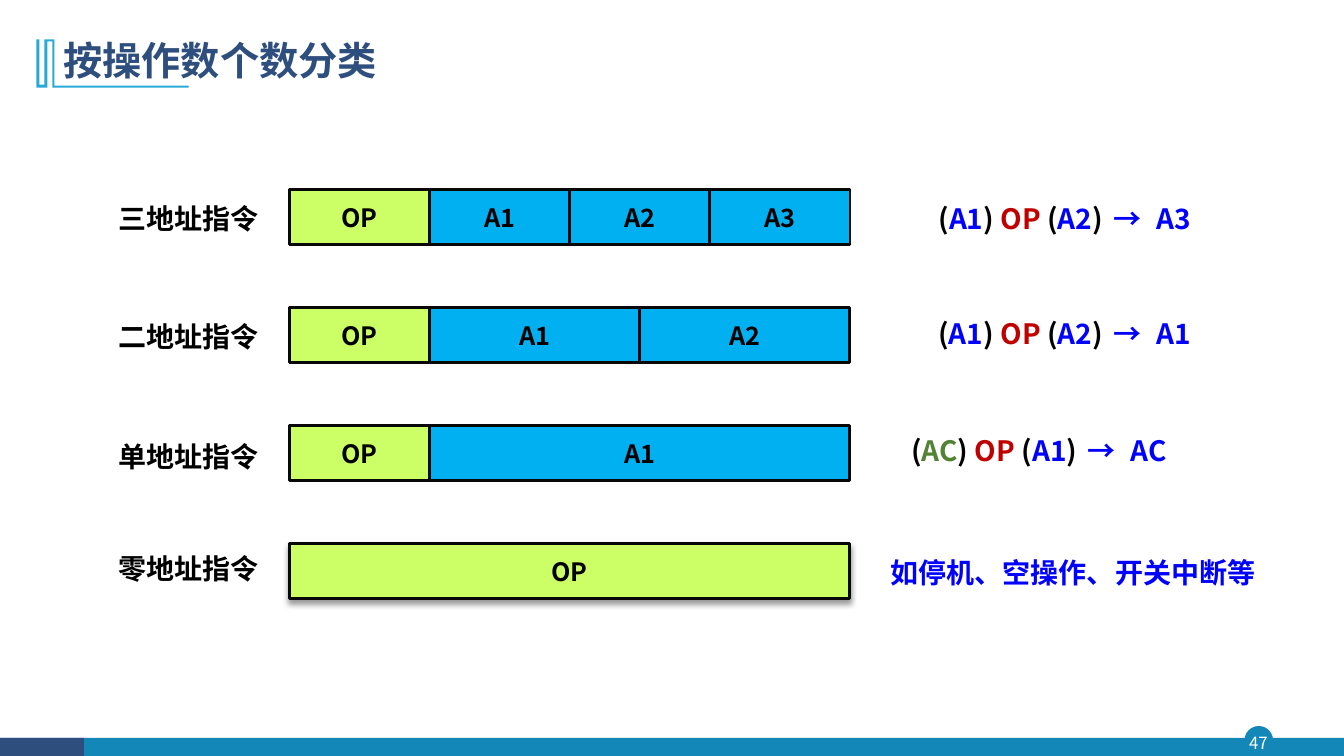
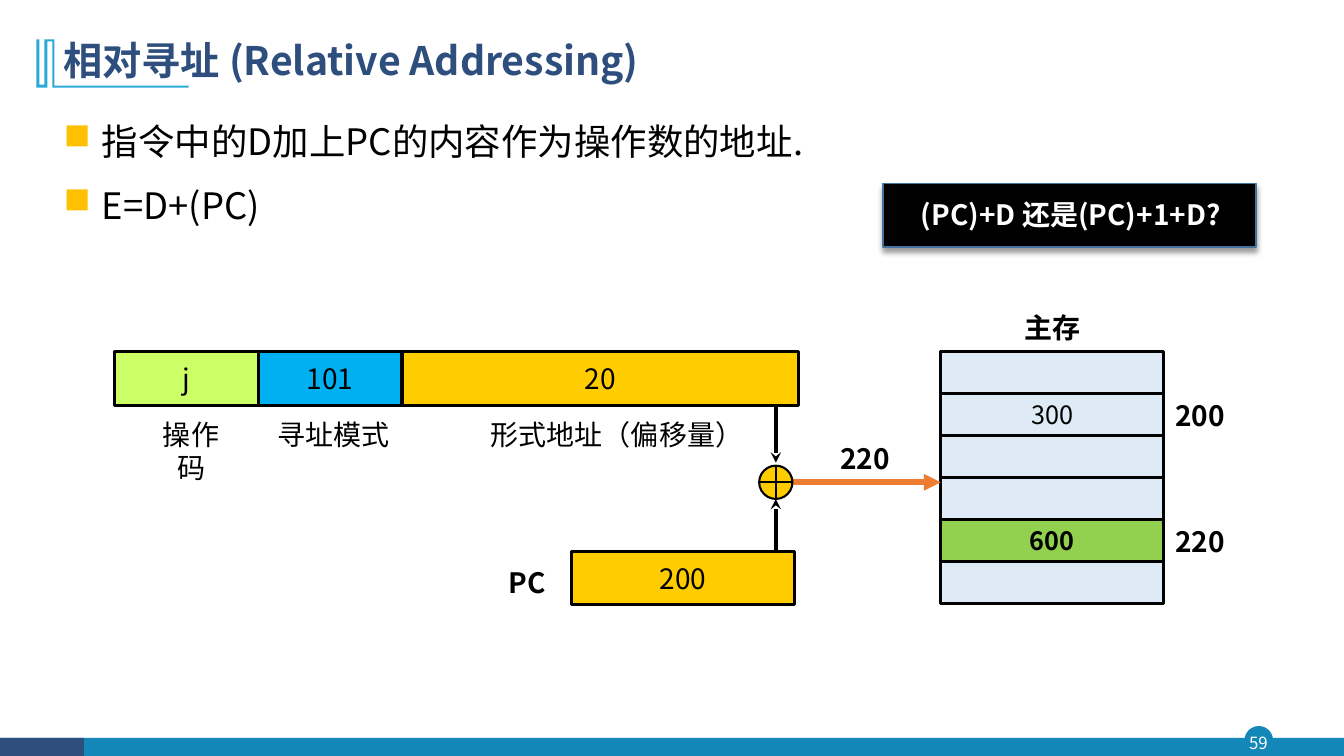
from collections import namedtuple

from lxml import etree
from pptx import Presentation
from pptx import util as u
from pptx.dml.color import RGBColor
from pptx.enum import shapes, text
from pptx.oxml.ns import qn

FONT, TITLE_FONT = "Noto Sans CJK SC", "Noto Sans CJK JP"
NAVY, TEAL, SKY = "2E4E7E", "1387B7", "28A9D6"
LIME, CYAN, GOLD, AMBER = "CCFF66", "00B0F0", "FFCC00", "FFC000"
BLUE, RED, GREEN, ORANGE = "0000FF", "C00000", "548235", "ED7D31"
PALE, LEAF, STEEL = "DEEBF7", "92D050", "43739E"
BLACK, WHITE, INK = "000000", "FFFFFF", "080808"
LEFT, CENTER, RIGHT = text.PP_ALIGN.LEFT, text.PP_ALIGN.CENTER, text.PP_ALIGN.RIGHT
PRESET = shapes.MSO_SHAPE
LABEL_HEIGHT = 0.44

Box = namedtuple("Box", "left top width height")
Field = namedtuple("Field", "words fill share")


def inches(box):
    return [u.Inches(value) for value in box]


def rgb(hex_code):
    return RGBColor.from_string(hex_code)


def add_xml(parent, tag, **attributes):
    return etree.SubElement(parent, qn(tag), attributes)


def style_paragraph(para, size, color=BLACK, bold=False, align=LEFT, font=FONT):
    para.alignment = align
    para.font.size = u.Pt(size)
    para.font.bold = bold
    para.font.color.rgb = rgb(color)
    para.font.name = font
    defaults = para._p.pPr.find(qn("a:defRPr"))
    add_xml(defaults, "a:ea", typeface=font)


def add_spans(para, spans):
    """Write (words, colour) spans; arrows get wider letter spacing."""
    for words, color in spans:
        span = para.add_run()
        span.text = words
        span.font.color.rgb = rgb(color)
        if "→" in words:
            span._r.get_or_add_rPr().set("spc", "300")


def add_label(page, box, words, size=20, align=CENTER, **style):
    """Add a text box; words is a string or a list of coloured spans."""
    label = page.shapes.add_textbox(*inches(box))
    frame = label.text_frame
    frame.word_wrap = align != CENTER
    para = frame.paragraphs[0]
    if isinstance(words, str):
        para.text = words
    else:
        add_spans(para, words)
    style_paragraph(para, size, align=align, **style)
    return label


def add_block(page, box, fill, line=None, weight=1, words="", size=20,
              bold=False, preset=PRESET.RECTANGLE):
    block = page.shapes.add_shape(preset, *inches(box))
    block.shadow.inherit = False
    block.fill.solid()
    block.fill.fore_color.rgb = rgb(fill)
    if line:
        block.line.color.rgb = rgb(line)
        block.line.width = u.Pt(weight)
    else:
        block.line.fill.background()
    if words:
        block.text_frame.word_wrap = False
        block.text_frame.vertical_anchor = text.MSO_ANCHOR.MIDDLE
        para = block.text_frame.paragraphs[0]
        para.text = words
        style_paragraph(para, size, bold=bold, align=CENTER)
    return block


def drop_shadow(block):
    effects = block._element.spPr.find(qn("a:effectLst"))
    shadow = add_xml(effects, "a:outerShdw", blurRad=str(u.Pt(4)),
                     dist=str(u.Pt(3)), dir="5400000", rotWithShape="0")
    color = add_xml(shadow, "a:srgbClr", val=BLACK)
    add_xml(color, "a:alpha", val="40000")


def add_arrow(page, start, end, color, weight, head):
    arrow = page.shapes.add_connector(shapes.MSO_CONNECTOR.STRAIGHT,
                                      *inches(start + end))
    arrow.line.color.rgb = rgb(color)
    arrow.line.width = u.Pt(weight)
    add_xml(arrow.line._get_or_add_ln(), "a:tailEnd", type=head)
    add_xml(arrow._element.spPr, "a:effectLst")


# Frame shared by all slides: title, title mark, footer band and number
def add_mark(page):
    # Outline in hundredths of an inch
    points = [(54, 39), (54, 85), (187, 85), (187, 87), (52, 87), (52, 41),
              (47, 41), (47, 87), (36, 87), (36, 39), (39, 39), (39, 84),
              (44, 84), (44, 39)]
    builder = page.shapes.build_freeform(*points[0], scale=u.Inches(0.01))
    builder.add_line_segments(points[1:], close=True)
    mark = builder.convert_to_shape()
    mark.shadow.inherit = False
    mark.fill.solid()
    mark.fill.fore_color.rgb = rgb(SKY)
    mark.line.fill.background()


def add_footer(page, box, number):
    add_block(page, Box(12.35, box.top - 0.11, 0.27, 0.27), TEAL, TEAL,
              preset=PRESET.OVAL)
    add_block(page, box, TEAL)
    add_block(page, box._replace(width=box.width / 16), NAVY)
    label = add_label(page, Box(12.32, box.top - 0.11, 0.32, 0.31), number,
                      size=12, color=WHITE)
    frame = label.text_frame
    frame.margin_left = frame.margin_right = 0
    frame.margin_top = frame.margin_bottom = 0
    frame.vertical_anchor = text.MSO_ANCHOR.MIDDLE


def place(holder, box):
    holder.left, holder.top, holder.width, holder.height = inches(box)
    holder.text_frame.auto_size = text.MSO_AUTO_SIZE.NONE
    holder.text_frame.word_wrap = True


def new_page(deck, layout, title, number):
    page = deck.slides.add_slide(deck.slide_layouts[layout])
    add_footer(page, Box(0, 7.32, 13.33, 0.18), number)
    add_mark(page)
    heading = page.shapes.title
    place(heading, Box(0.53, 0.28, 11.5, 0.68))
    heading.text_frame.vertical_anchor = text.MSO_ANCHOR.MIDDLE
    para = heading.text_frame.paragraphs[0]
    for words, font in title:
        span = para.add_run()
        span.text = words
        span.font.name = font
    para.line_spacing = 0.9
    style_paragraph(para, 28, NAVY, bold=True, font=TITLE_FONT)
    return page


def add_bullets(holder, box, items):
    place(holder, box)
    frame = holder.text_frame
    for index, words in enumerate(items):
        para = frame.add_paragraph() if index else frame.paragraphs[0]
        para.text = words
        props = para._p.get_or_add_pPr()
        props.set("marL", str(u.Inches(0.38)))
        props.set("indent", str(u.Inches(-0.38)))
        add_xml(add_xml(props, "a:buClr"), "a:srgbClr", val=AMBER)
        add_xml(props, "a:buFont", typeface="Wingdings", charset="2")
        add_xml(props, "a:buChar", char="n")
        para.line_spacing = 1.16
        para.space_before = u.Pt(10 if index else 0)
        style_paragraph(para, 26, align=text.PP_ALIGN.JUSTIFY)


def add_fields(page, box, fields, **style):
    """Split the box into adjoining fields by their shares of its width."""
    left, blocks = box.left, []
    for field in fields:
        width = box.width * field.share
        cell = box._replace(left=left, width=width)
        blocks.append(add_block(page, cell, field.fill, words=field.words, **style))
        left += width
    return blocks


# Slide: instruction formats by number of operands
def transfer(first, second, target):
    """Spans for '(first) OP (second) → target'."""
    return [("(", BLACK), first, (") ", BLACK), ("OP", RED), (" (", BLACK),
            second, (")", BLACK), (" → ", BLUE), (target, BLUE)]


def add_format_row(page, box, name, name_top, operands):
    add_label(page, Box(1.08, name_top, 1.63, LABEL_HEIGHT), name,
              align=LEFT, bold=True)
    share = 0.75 / max(len(operands), 1)
    fields = [Field("OP", LIME, 0.25 if operands else 1)]
    fields += [Field(operand, CYAN, share) for operand in operands]
    return add_fields(page, box, fields, line=INK, weight=2, size=18, bold=True)


def build_formats(deck):
    page = new_page(deck, 5, [("按操作数个数分类", TITLE_FONT)], "47")
    a1, a2 = ("A1", BLUE), ("A2", BLUE)
    rows = [
        ("三地址指令", 1.95, ["A1", "A2", "A3"], transfer(a1, a2, "A3"),
         Box(8.92, 1.95, 2.99, LABEL_HEIGHT), RIGHT),
        ("二地址指令", 3.12, ["A1", "A2"], transfer(a1, a2, "A1"),
         Box(8.73, 3.09, 3.18, LABEL_HEIGHT), RIGHT),
        ("单地址指令", 4.31, ["A1"], transfer(("AC", GREEN), a1, "AC"),
         Box(8.94, 4.25, 3.5, LABEL_HEIGHT), LEFT),
        ("零地址指令", 5.42, [], [("如停机、空操作、开关中断等", BLUE)],
         Box(8.65, 5.46, 3.9, LABEL_HEIGHT), RIGHT),
    ]
    bar = Box(2.87, 1.88, 5.56, 0.55)
    pitch = 1.17
    for index, (name, name_top, operands, effect, place_at, align) in enumerate(rows):
        row = bar._replace(top=bar.top + index * pitch)
        blocks = add_format_row(page, row, name, name_top, operands)
        if not operands:
            drop_shadow(blocks[0])
        add_label(page, place_at, effect, align=align, bold=True)


# Slide: relative addressing
def add_instruction(page, box):
    fields = [Field("j", LIME, 0.21), Field("101", CYAN, 0.21),
              Field("20", GOLD, 0.58)]
    add_fields(page, box, fields, line=BLACK, weight=2.25)
    captions = [("操作码", 0.24, 1.03), ("寻址模式", 1.51, 1.32),
                ("形式地址（偏移量）", 3.09, 3.78)]
    for words, offset, width in captions:
        add_label(page, Box(box.left + offset, box.top + 0.6, width, LABEL_HEIGHT),
                  words)


def add_memory(page, box):
    add_label(page, Box(box.left, box.top - 0.46, box.width, LABEL_HEIGHT),
              "主存", bold=True)
    cells = [("", PALE, ""), ("300", PALE, "200"), ("", PALE, ""),
             ("", PALE, ""), ("600", LEAF, "220"), ("", PALE, "")]
    height = box.height / len(cells)
    for row, (value, fill, address) in enumerate(cells):
        top = box.top + row * height
        add_block(page, box._replace(top=top, height=height), fill, BLACK, 2,
                  value, size=18, bold=fill == LEAF)
        if address:
            add_label(page, Box(box.left + box.width, top, 0.72, LABEL_HEIGHT),
                      address, bold=True)


def add_adder(page, box):
    """Adder with its two inputs and the resulting address."""
    middle = box.left + box.width / 2
    center = box.top + box.height / 2
    right, bottom = box.left + box.width, box.top + box.height
    add_arrow(page, (right, center), (9.33, center), ORANGE, 4, "triangle")
    add_label(page, Box(right + 0.36, box.top - 0.29, 0.72, LABEL_HEIGHT), "220",
              bold=True)
    add_block(page, box, GOLD, BLACK, 1.5, preset=PRESET.FLOWCHART_OR)
    add_arrow(page, (middle, 5.47), (middle, bottom), BLACK, 2.5, "stealth")
    add_arrow(page, (middle, 4.02), (middle, box.top - 0.03), BLACK, 2.5, "stealth")


def add_question(page, box):
    drop_shadow(add_block(page, box, BLACK, STEEL))
    add_label(page, Box(box.left + 0.11, box.top + 0.09, 3.5, LABEL_HEIGHT),
              "(PC)+D 还是(PC)+1+D?", color=WHITE, bold=True)


def build_relative(deck):
    title = [("相对寻址 ", TITLE_FONT), ("(Relative Addressing)", FONT)]
    page = new_page(deck, 1, title, "59")
    add_bullets(page.placeholders[1], Box(0.53, 1.06, 11.5, 1.74),
                ["指令中的D加上PC的内容作为操作数的地址.", "E=D+(PC)"])
    add_instruction(page, Box(1.14, 3.49, 6.78, 0.53))
    add_memory(page, Box(9.33, 3.49, 2.21, 2.5))
    # Program counter
    add_block(page, Box(5.67, 5.47, 2.21, 0.53), GOLD, BLACK, 2.25, "200")
    add_label(page, Box(4.94, 5.56, 0.58, LABEL_HEIGHT), "PC", bold=True)
    add_adder(page, Box(7.53, 4.62, 0.33, 0.33))
    add_question(page, Box(8.76, 1.82, 3.7, 0.63))


def main():
    deck = Presentation()
    deck.slide_width, deck.slide_height = u.Inches(13.33), u.Inches(7.5)
    build_formats(deck)
    build_relative(deck)
    deck.save("out.pptx")


if __name__ == "__main__":
    main()
